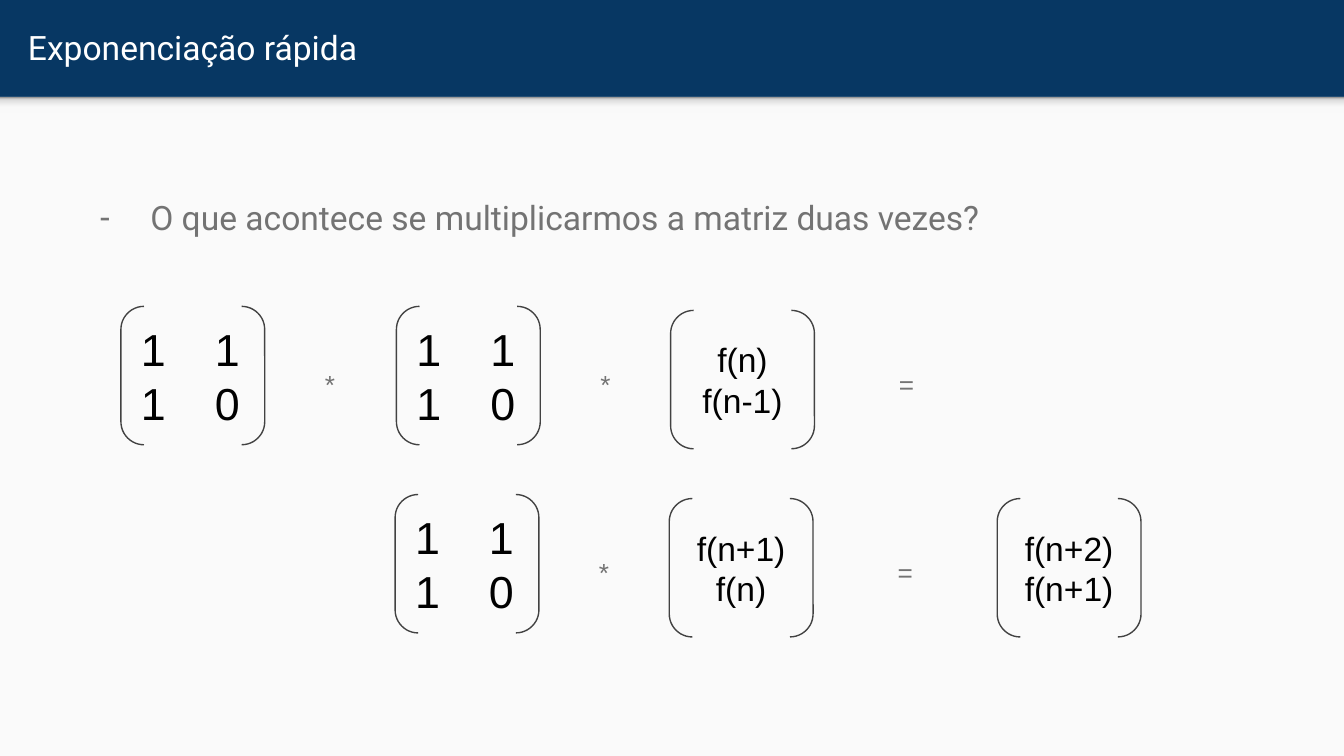
from copy import deepcopy
from dataclasses import dataclass

from lxml.etree import SubElement
from pptx import Presentation
from pptx.dml.color import RGBColor
from pptx.enum.shapes import MSO_SHAPE as Shape
from pptx.enum.text import MSO_ANCHOR as Anchor, PP_ALIGN as Align
from pptx.oxml.ns import qn
from pptx.util import Inches, Pt


@dataclass(frozen=True)
class Theme:
    navy: str = "073763"
    paper: str = "FAFAFA"
    white: str = "FFFFFF"
    grey: str = "737373"
    outline: str = "424242"
    black: str = "000000"
    shade: tuple = ((0, "F9F9F9"), (36, "F9F9F9"), (80, "DEDEDE"), (100, "999999"))
    heading_font: str = "Roboto"
    math_font: str = "Arial"
    body_size: int = 18
    matrix_size: int = 24
    operator_size: int = 14


@dataclass(frozen=True)
class Bracket:
    x: float
    lines: tuple[str, str]
    is_matrix: bool = False


@dataclass(frozen=True)
class Operator:
    x: float
    symbol: str
    width: float = 0.27


@dataclass(frozen=True)
class Equation:
    top: float
    terms: tuple


THEME = Theme()
SLIDE_WIDTH = 10
SLIDE_HEIGHT = SLIDE_WIDTH * 9 / 16
HEADER_HEIGHT = 0.72
FIBONACCI = ("1\t1", "1\t0")
COLUMN_GAP = 0.55
BRACKET_SIZE = (1.07, 1.03)
VECTOR_DROP = 0.03
OPERATOR_DROP = 0.41

EQUATIONS = (
    Equation(2.28, (
        Bracket(0.9, FIBONACCI, True), Operator(2.32, "*"),
        Bracket(2.95, FIBONACCI, True), Operator(4.37, "*"),
        Bracket(4.99, ("f(n)", "f(n-1)")), Operator(6.55, "=", 0.39),
    )),
    Equation(3.68, (
        Bracket(2.94, FIBONACCI, True), Operator(4.36, "*"),
        Bracket(4.98, ("f(n+1)", "f(n)")), Operator(6.54, "=", 0.39),
        Bracket(7.42, ("f(n+2)", "f(n+1)")),
    )),
)


def rgb(value: str) -> RGBColor:
    return RGBColor.from_string(value)


def write(s, *lines: str, size: int, color: str, font: str, align=Align.LEFT,
          anchor=Anchor.TOP, insets: tuple[float, float] = (0.1, 0.1)) -> list:
    """Fill a shape with one paragraph per line; insets are (sides, top and bottom)."""
    tf = s.text_frame
    tf.word_wrap = True
    tf.vertical_anchor = anchor
    tf.margin_left = tf.margin_right = Inches(insets[0])
    tf.margin_top = tf.margin_bottom = Inches(insets[1])
    for i, line in enumerate(lines):
        p = tf.paragraphs[0] if i == 0 else tf.add_paragraph()
        p.alignment = align
        r = p.add_run()
        r.text = line
        r.font.size, r.font.name = Pt(size), font
        r.font.color.rgb = rgb(color)
    return list(tf.paragraphs)


def add_band(slide, top: float, height: float):
    """Add a full-width rectangle without outline."""
    s = slide.shapes.add_shape(Shape.RECTANGLE, 0, Inches(top),
                               Inches(SLIDE_WIDTH), Inches(height))
    s.shadow.inherit = False
    s.line.fill.background()
    return s


def add_textbox(slide, x: float, y: float, width: float, height: float):
    return slide.shapes.add_textbox(Inches(x), Inches(y), Inches(width), Inches(height))


def shade_band(s) -> None:
    """Apply the upward multi-stop gradient of the header's shadow."""
    s.fill.gradient()
    s.fill.gradient_angle = 90
    stops = s._element.spPr.find(qn("a:gradFill")).find(qn("a:gsLst"))
    for _ in range(len(THEME.shade) - len(stops)):
        stops.append(deepcopy(stops[0]))
    for stop, (position, color) in zip(s.fill.gradient_stops, THEME.shade):
        stop.position = position / 100
        stop.color.rgb = rgb(color)


def add_dash_bullet(p) -> None:
    p.line_spacing = 1.15
    pPr = p._p.get_or_add_pPr()
    pPr.set("marL", str(Inches(0.5)))
    pPr.set("indent", str(Inches(-0.38)))
    color = SubElement(pPr, qn("a:buClr"))
    SubElement(color, qn("a:srgbClr"), val=THEME.grey)
    SubElement(pPr, qn("a:buFont"), typeface=THEME.math_font)
    SubElement(pPr, qn("a:buChar"), char="-")


def add_column_stop(p) -> None:
    tabs = SubElement(p._p.get_or_add_pPr(), qn("a:tabLst"))
    SubElement(tabs, qn("a:tab"), pos=str(Inches(COLUMN_GAP)), algn="l")


def draw_bracket(slide, term: Bracket, top: float) -> None:
    y = top if term.is_matrix else top + VECTOR_DROP
    width, height = BRACKET_SIZE
    s = slide.shapes.add_shape(Shape.DOUBLE_BRACKET, Inches(term.x), Inches(y),
                               Inches(width), Inches(height))
    s.shadow.inherit = False
    s.fill.background()
    s.line.color.rgb = rgb(THEME.outline)
    s.line.width = Pt(0.75)
    paragraphs = write(
        s, *term.lines, color=THEME.black, font=THEME.math_font, anchor=Anchor.MIDDLE,
        size=THEME.matrix_size if term.is_matrix else THEME.body_size,
        align=Align.LEFT if term.is_matrix else Align.CENTER)
    if term.is_matrix:
        for p in paragraphs:
            add_column_stop(p)


def draw_operator(slide, term: Operator, top: float) -> None:
    s = add_textbox(slide, term.x, top + OPERATOR_DROP, term.width, 0.27)
    write(s, term.symbol, size=THEME.operator_size, color=THEME.grey,
          font=THEME.math_font, align=Align.CENTER, insets=(0, 0.05))


def draw_equation(slide, equation: Equation) -> None:
    for term in equation.terms:
        draw = draw_bracket if isinstance(term, Bracket) else draw_operator
        draw(slide, term, equation.top)


def main() -> None:
    prs = Presentation()
    prs.slide_width, prs.slide_height = Inches(SLIDE_WIDTH), Inches(SLIDE_HEIGHT)
    slide = prs.slides.add_slide(prs.slide_layouts[6])
    slide.background.fill.solid()
    slide.background.fill.fore_color.rgb = rgb(THEME.navy)

    paper = add_band(slide, HEADER_HEIGHT, SLIDE_HEIGHT - HEADER_HEIGHT)
    paper.fill.solid()
    paper.fill.fore_color.rgb = rgb(THEME.paper)
    shade_band(add_band(slide, HEADER_HEIGHT, 0.12))

    write(add_textbox(slide, 0.11, 0.02, 9.65, 0.66), "Exponenciação rápida",
          size=THEME.body_size, color=THEME.white, font=THEME.heading_font,
          anchor=Anchor.MIDDLE)
    question = write(add_textbox(slide, 0.52, 1.32, 8.99, 0.66),
                     "O que acontece se multiplicarmos a matriz duas vezes?",
                     size=THEME.body_size, color=THEME.grey, font=THEME.heading_font)
    add_dash_bullet(question[0])

    for equation in EQUATIONS:
        draw_equation(slide, equation)
    prs.save("out.pptx")


if __name__ == "__main__":
    main()
